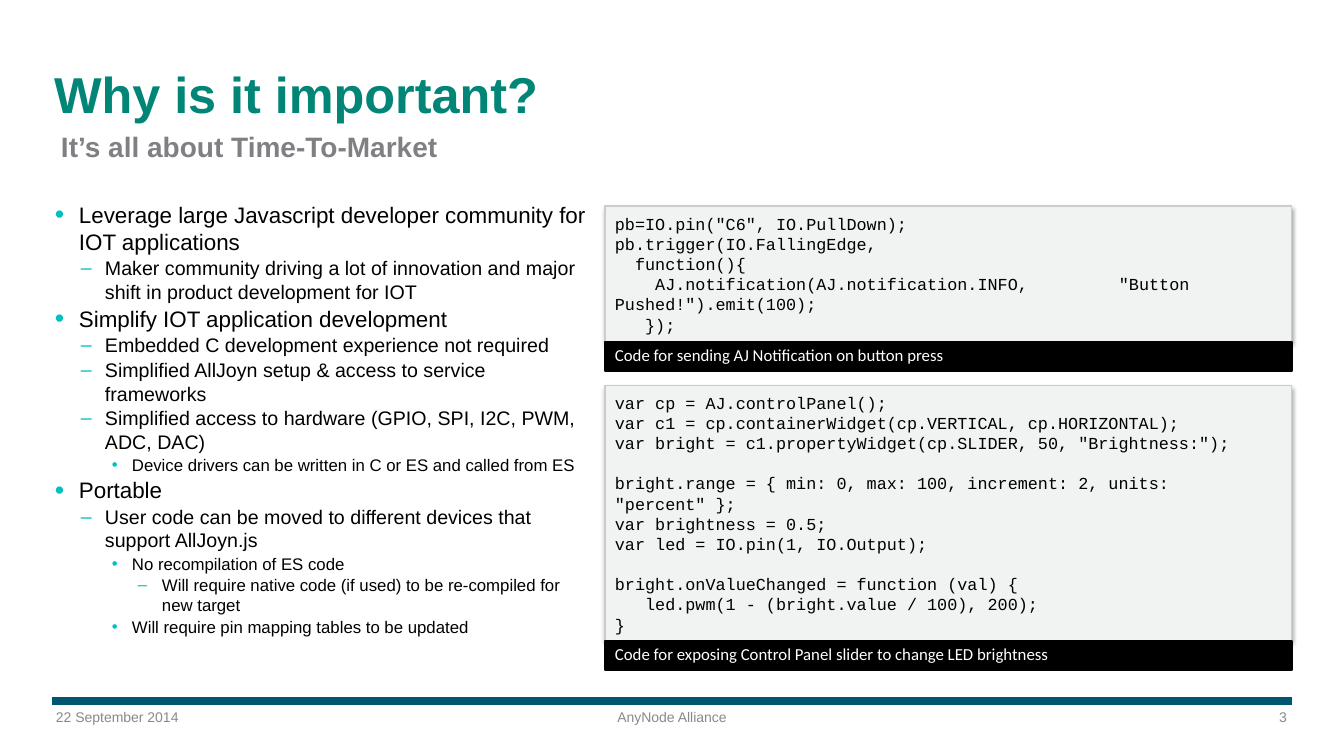
from lxml.etree import SubElement
from pptx import Presentation
from pptx.dml.color import RGBColor
from pptx.enum.shapes import MSO_CONNECTOR, MSO_SHAPE
from pptx.enum.text import MSO_ANCHOR, PP_ALIGN
from pptx.oxml.ns import qn
from pptx.util import Emu, Pt

TEAL = RGBColor(0x00, 0x85, 0x76)
RULE_BLUE = RGBColor(0x00, 0x56, 0x70)
BULLET_CYAN = RGBColor(0x00, 0xC0, 0xC2)
SUBTITLE_GRAY = RGBColor(0x80, 0x7F, 0x83)
FOOTER_GRAY = RGBColor(0x89, 0x89, 0x89)
CODE_FILL = RGBColor(0xF1, 0xF2, 0xF2)
CODE_EDGE = RGBColor(0xCC, 0xCC, 0xCD)
BLACK = RGBColor(0x00, 0x00, 0x00)
WHITE = RGBColor(0xFF, 0xFF, 0xFF)

EMU_PER_PX = 914400 / 100.8

# One entry per level: left margin px, hanging px, mark, mark size %, text pt
LEVELS = [
    (24, 24, "•", 120, 16),
    (50, 24, "–", 100, 14),
    (77, 20, "•", 100, 12),
    (107, 24, "–", 100, 12),
]

REASONS = [
    (0, "Leverage large Javascript developer community for IOT applications"),
    (1, "Maker community driving a lot of innovation and major shift in "
        "product development for IOT"),
    (0, "Simplify IOT application development"),
    (1, "Embedded C development experience not required"),
    (1, "Simplified AllJoyn setup & access to service frameworks"),
    (1, "Simplified access to hardware (GPIO, SPI, I2C, PWM, ADC, DAC)"),
    (2, "Device drivers can be written in C or ES and called from ES"),
    (0, "Portable"),
    (1, "User code can be moved to different devices that support AllJoyn.js"),
    (2, "No recompilation of ES code"),
    (3, "Will require native code (if used) to be re-compiled for new target"),
    (2, "Will require pin mapping tables to be updated"),
]

NOTIFICATION_CODE = """pb=IO.pin("C6", IO.PullDown);
pb.trigger(IO.FallingEdge,
  function(){
    AJ.notification(AJ.notification.INFO,        \t"Button Pushed!").emit(100);
   });"""

SLIDER_CODE = """var cp = AJ.controlPanel();
var c1 = cp.containerWidget(cp.VERTICAL, cp.HORIZONTAL);
var bright = c1.propertyWidget(cp.SLIDER, 50, "Brightness:");

bright.range = { min: 0, max: 100, increment: 2, units: "percent" };
var brightness = 0.5;
var led = IO.pin(1, IO.Output);

bright.onValueChanged = function (val) {
   led.pwm(1 - (bright.value / 100), 200);
}"""


def px(length):
    return Emu(round(length * EMU_PER_PX))


def box(left, top, width, height):
    return px(left), px(top), px(width), px(height)


def style(paragraph, size, color, face="Arial", bold=False):
    font = paragraph.font
    font.name, font.size, font.bold = face, Pt(size), bold
    font.color.rgb = color


def add_text_frame(slide, place, inset=5):
    frame = slide.shapes.add_textbox(*box(*place)).text_frame
    frame.word_wrap = True
    frame.margin_left = frame.margin_right = px(inset)
    frame.margin_top = frame.margin_bottom = px(5)
    return frame


def add_label(slide, place, text, size, color, bold=False,
              align=PP_ALIGN.LEFT, inset=5):
    frame = add_text_frame(slide, place, inset)
    label = frame.paragraphs[0]
    label.text, label.alignment = text, align
    style(label, size, color, bold=bold)
    return frame


def set_bullet(paragraph, level):
    margin, hanging, mark, percent, _ = LEVELS[level]
    paragraph.level = level
    props = paragraph._p.get_or_add_pPr()
    props.set("marL", str(px(margin)))
    props.set("indent", str(-px(hanging)))
    tint = SubElement(props, qn("a:buClr"))
    SubElement(tint, qn("a:srgbClr"), val=str(BULLET_CYAN))
    SubElement(props, qn("a:buSzPct"), val=str(percent * 1000))
    SubElement(props, qn("a:buFont"), typeface="Arial")
    SubElement(props, qn("a:buChar"), char=mark)


def add_outline(slide, place, items):
    frame = add_text_frame(slide, place)
    for number, (level, text) in enumerate(items):
        item = frame.add_paragraph() if number else frame.paragraphs[0]
        item.text = text
        set_bullet(item, level)
        item.space_after = Pt(0.5)
        if number:
            item.space_before = Pt(0.5)
        style(item, LEVELS[level][-1], BLACK)


def add_panel(slide, place, text, fill, edge, edge_width, color, face):
    panel = slide.shapes.add_shape(MSO_SHAPE.RECTANGLE, *box(*place))
    panel.shadow.inherit = False
    panel.fill.solid()
    panel.fill.fore_color.rgb = fill
    panel.line.color.rgb = edge
    panel.line.width = Pt(edge_width)
    panel.text_frame.word_wrap = True
    content = panel.text_frame.paragraphs[0]
    content.text, content.alignment = text, PP_ALIGN.LEFT
    style(content, 12, color, face)
    return panel


def add_soft_shadow(panel):
    effects = panel._element.spPr.find(qn("a:effectLst"))
    shadow = SubElement(effects, qn("a:outerShdw"), blurRad=str(Pt(3.1)),
                        dist=str(Pt(1.6)), dir="5400000", rotWithShape="0")
    tint = SubElement(shadow, qn("a:srgbClr"), val=str(BLACK))
    SubElement(tint, qn("a:alpha"), val="38000")


def add_code_sample(slide, top, height, code, caption):
    """Add a code panel with its black caption bar directly below."""
    left, width = 605, 687
    code_panel = add_panel(slide, (left, top, width, height), code,
                           CODE_FILL, CODE_EDGE, 0.75, BLACK, "Courier New")
    add_soft_shadow(code_panel)
    caption_bar = add_panel(slide, (left, top + height, width, 29), caption,
                            BLACK, BLACK, 2, WHITE, "Calibri")
    caption_bar.text_frame.paragraphs[0].line_spacing = 0.9


def add_footer(slide):
    rule = slide.shapes.add_connector(
        MSO_CONNECTOR.STRAIGHT, px(52), px(701), px(1292), px(701))
    rule.line.color.rgb = RULE_BLUE
    rule.line.width = Pt(5.5)
    SubElement(rule._element.spPr, qn("a:effectLst"))
    for left, text, align in [
        (51, "22 September 2014", PP_ALIGN.LEFT),
        (506, "AnyNode Alliance", PP_ALIGN.CENTER),
        (960, "3", PP_ALIGN.RIGHT),
    ]:
        add_label(slide, (left, 704, 332, 27), text, 10, FOOTER_GRAY,
                  align=align)


def main():
    deck = Presentation()
    deck.slide_width, deck.slide_height = px(1344), px(756)
    slide = deck.slides.add_slide(deck.slide_layouts[6])

    add_footer(slide)
    title = add_label(slide, (49, 19, 1239, 111), "Why is it important?",
                      36, TEAL, bold=True)
    title.vertical_anchor = MSO_ANCHOR.BOTTOM
    title.paragraphs[0].line_spacing = 0.95
    add_label(slide, (51, 124, 1239, 44), "It’s all about Time-To-Market",
              20, SUBTITLE_GRAY, bold=True, inset=10)
    add_outline(slide, (50, 196, 541, 462), REASONS)
    add_code_sample(slide, 206, 136, NOTIFICATION_CODE,
                    "Code for sending AJ Notification on button press")
    add_code_sample(slide, 386, 255, SLIDER_CODE,
                    "Code for exposing Control Panel slider to change "
                    "LED brightness")
    deck.save("out.pptx")


if __name__ == "__main__":
    main()
